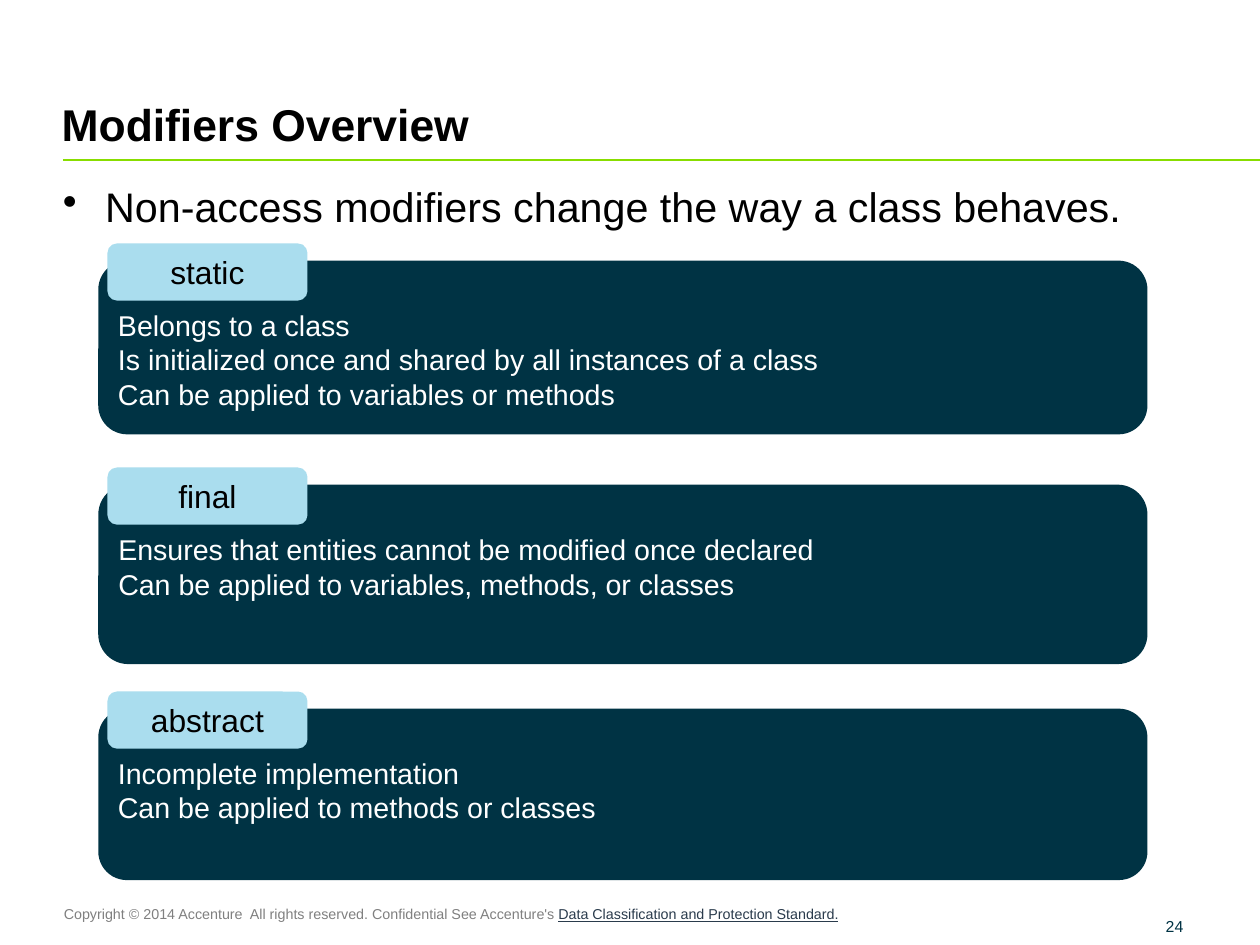
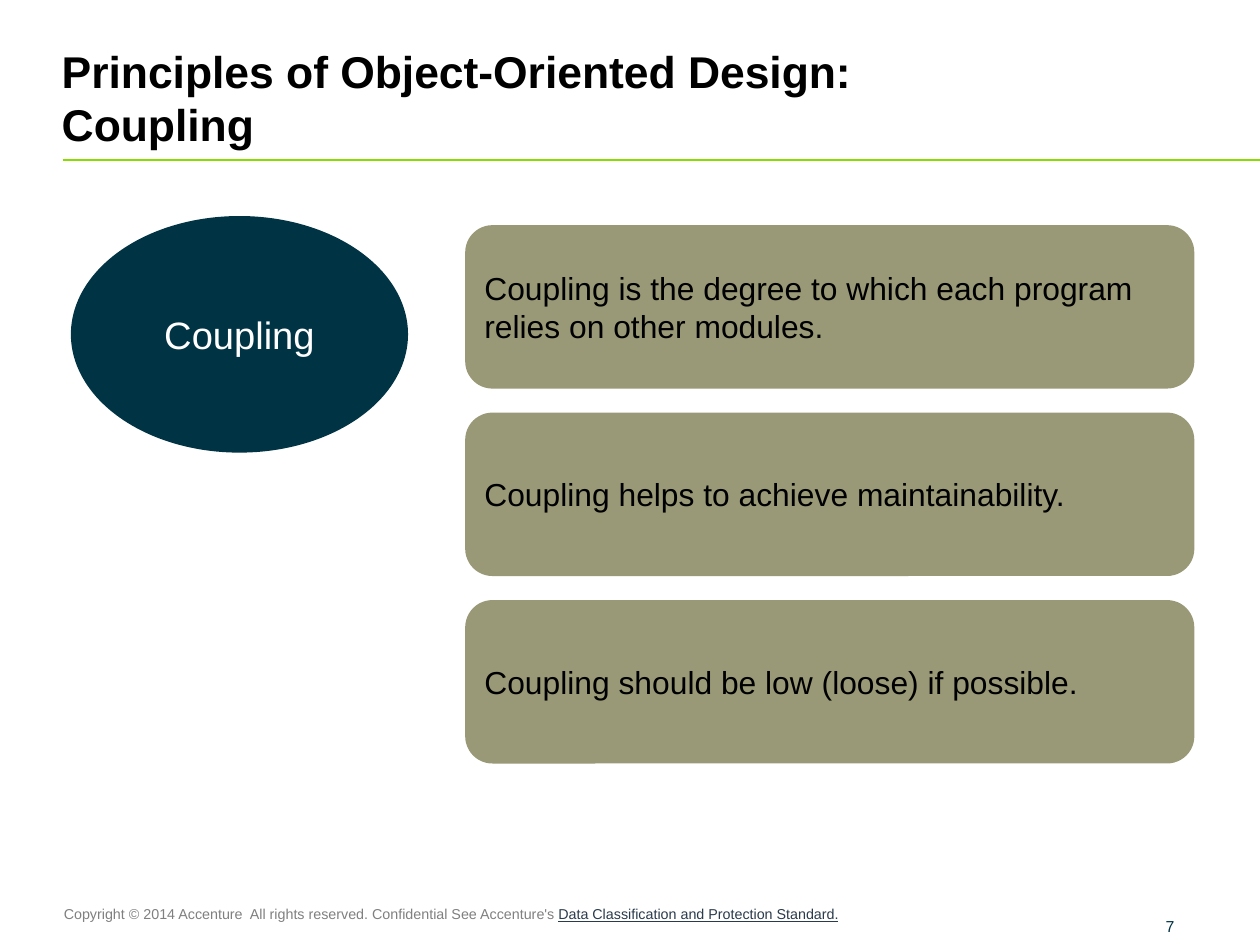
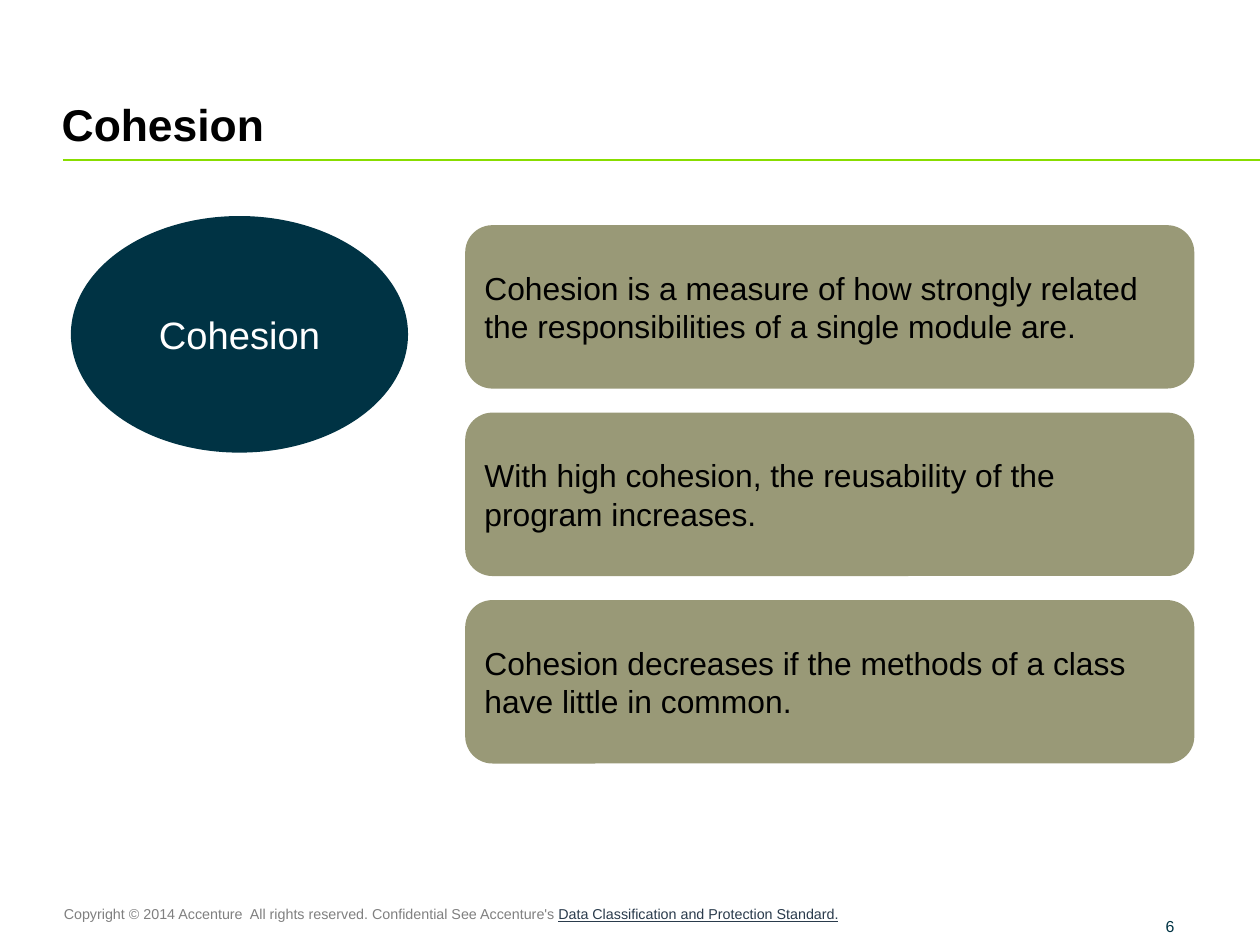
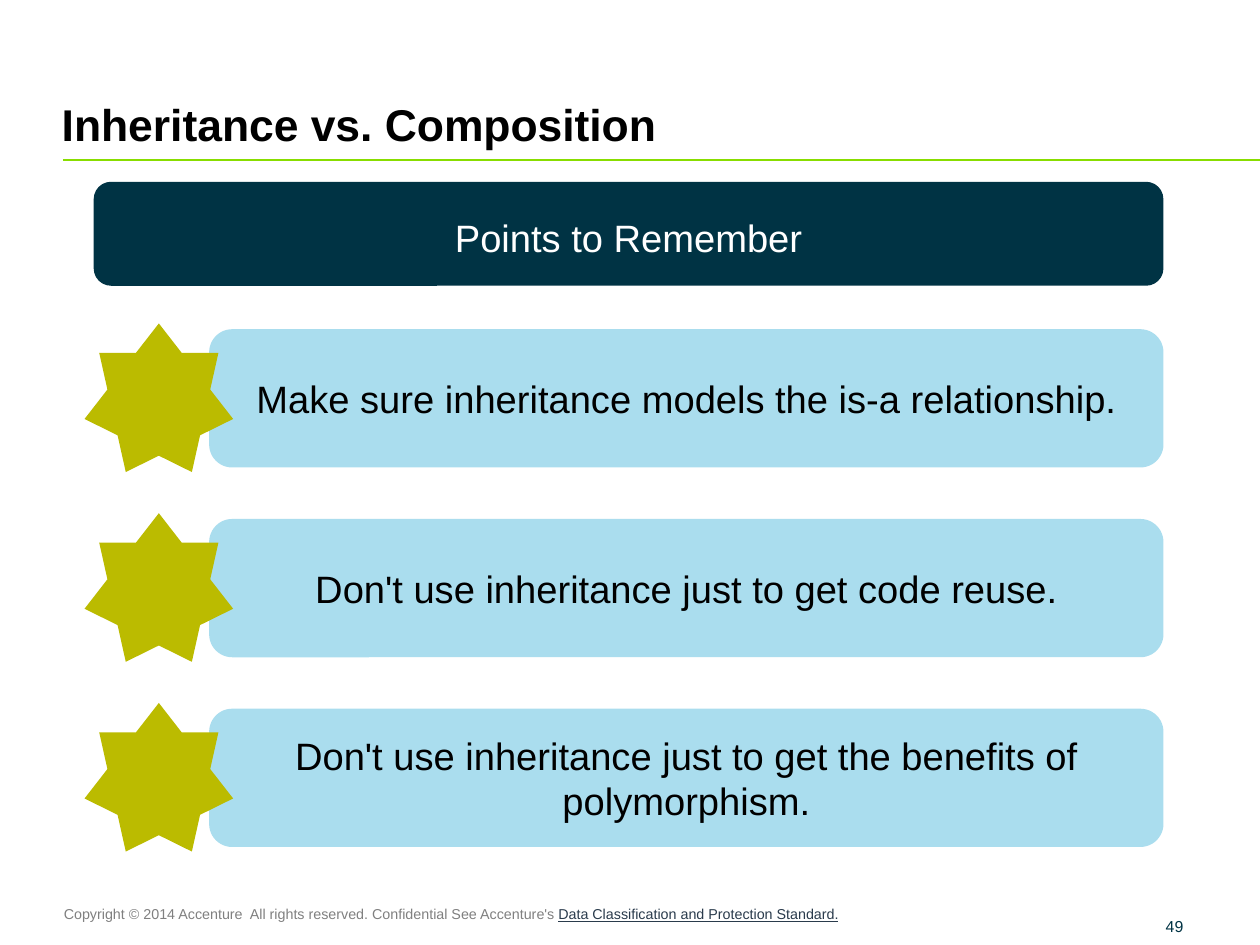
from lxml import etree
from pptx import Presentation
from pptx.dml.color import RGBColor
from pptx.enum.shapes import MSO_CONNECTOR, MSO_SHAPE
from pptx.enum.text import MSO_ANCHOR, MSO_AUTO_SIZE, PP_ALIGN
from pptx.oxml.ns import qn
from pptx.util import Emu, Inches, Pt

BLACK = RGBColor(0x00, 0x00, 0x00)
WHITE = RGBColor(0xFF, 0xFF, 0xFF)
NAVY = RGBColor(0x00, 0x33, 0x44)
SKY = RGBColor(0xAA, 0xDD, 0xEE)
OLIVE = RGBColor(0x99, 0x99, 0x77)
GOLD = RGBColor(0xBB, 0xBB, 0x00)
LIME = RGBColor(0x88, 0xDD, 0x00)
GRAY = RGBColor(0x80, 0x80, 0x80)
SLATE = RGBColor(0x2A, 0x3B, 0x4C)

ROUND = MSO_SHAPE.ROUNDED_RECTANGLE
OVAL = MSO_SHAPE.OVAL
STAR = MSO_SHAPE.STAR_7_POINT
LINE = MSO_CONNECTOR.STRAIGHT
LEFT, CENTER = PP_ALIGN.LEFT, PP_ALIGN.CENTER
TOP, MIDDLE, BOTTOM = MSO_ANCHOR.TOP, MSO_ANCHOR.MIDDLE, MSO_ANCHOR.BOTTOM
FIXED = MSO_AUTO_SIZE.NONE

FONT = "Arial"
WIDTH, HEIGHT = Emu(10080625), Emu(7559675)
INSETS = (0.1, 0.05, 0.1, 0.05)

MODIFIERS = [
    ("static", 1.52, "Belongs to a class\n"
     "Is initialized once and shared by all instances of a class\n"
     "Can be applied to variables or methods"),
    ("final", 1.57, "Ensures that entities cannot be modified once declared\n"
     "Can be applied to variables, methods, or classes"),
    ("abstract", 1.5, "Incomplete implementation\n"
     "Can be applied to methods or classes"),
]
COUPLING = [
    "Coupling is the degree to which each program relies on other modules.",
    "Coupling helps to achieve maintainability.",
    "Coupling should be low (loose) if possible.",
]
COHESION = [
    "Cohesion is a measure of how strongly related the responsibilities of a single module are.",
    "With high cohesion, the reusability of the program increases.",
    "Cohesion decreases if the methods of a class have little in common.",
]
POINTS = [
    "Make sure inheritance models the is-a relationship.",
    "Don't use inheritance just to get code reuse.",
    "Don't use inheritance just to get the benefits of polymorphism.",
]


def style(font, size, color, bold=False):
    """Set the face, size, colour and weight of a font."""
    font.name = FONT
    font.size = Pt(size)
    font.color.rgb = color
    font.bold = bold


def mark(para):
    """Give a paragraph a hanging bullet."""
    props = para._p.get_or_add_pPr()
    props.set("marL", str(Inches(0.38)))
    props.set("indent", str(Inches(-0.37)))
    etree.SubElement(props, qn("a:buChar")).set("char", "•")


def write(shape, text, size, color, align=LEFT, anchor=MIDDLE, insets=INSETS,
          bold=False, bullet=False):
    """Fill a shape with text in one style."""
    frame = shape.text_frame
    frame.word_wrap = True
    frame.auto_size = FIXED
    frame.vertical_anchor = anchor
    (frame.margin_left, frame.margin_top,
     frame.margin_right, frame.margin_bottom) = map(Inches, insets)
    frame.text = text
    for para in frame.paragraphs:
        para.alignment = align
        if bullet:
            mark(para)
        style(para.font, size, color, bold)


def add_box(slide, kind, box, fill):
    """Add a plain filled shape without outline or shadow."""
    shape = slide.shapes.add_shape(kind, *map(Inches, box))
    shape.shadow.inherit = False
    shape.fill.solid()
    shape.fill.fore_color.rgb = fill
    shape.line.fill.background()
    return shape


def add_text(slide, box, text, size, color, **look):
    """Add a text box in one style."""
    shape = slide.shapes.add_textbox(*map(Inches, box))
    write(shape, text, size, color, **look)
    return shape


def add_rule(slide):
    """Add the green rule under the title."""
    rule = slide.shapes.add_connector(
        LINE, Inches(0.55), Inches(1.4), WIDTH, Inches(1.4))
    rule.line.color.rgb = LIME
    rule.line.width = Pt(1)
    etree.SubElement(rule.element.spPr, qn("a:effectLst"))
    return rule


def add_footer(slide):
    """Add the copyright line."""
    foot = add_text(
        slide, (0.46, 7.87, 10.06, 0.25),
        "Copyright © 2014 Accenture  All rights reserved. Confidential See Accenture's ",
        9, GRAY, anchor=TOP)
    run = foot.text_frame.paragraphs[0].add_run()
    run.text = "Data Classification and Protection Standard."
    run.font.color.rgb = SLATE
    run.font.underline = True
    return foot


def share_frame(slide):
    """Put the rule and the copyright line on the layout of a slide."""
    layout = slide.slide_layout
    for holder in list(layout.placeholders):
        if holder.placeholder_format.idx:
            layout.shapes.element.remove(holder.element)
    for part in (add_rule(slide), add_footer(slide)):
        layout.shapes.element.append(part.element)


def add_slide(deck, title, number):
    """Add a slide with its title and page number."""
    slide = deck.slides.add_slide(deck.slide_layouts[5])
    head = slide.shapes.title
    head.left, head.top, head.width, head.height = map(Inches, (0.54, 0.37, 10.48, 0.95))
    write(head, title, 28, BLACK, anchor=BOTTOM, insets=(0, 0.05, 0.1, 0), bold=True)
    add_text(slide, (10.2, 7.88, 0.77, 0.31), number, 10, NAVY,
             anchor=BOTTOM, insets=(0, 0, 0, 0))
    return slide


def add_cards(slide):
    """Add a labelled card for each modifier."""
    for i, (name, height, text) in enumerate(MODIFIERS):
        top = 2.28 + 1.96 * i
        card = add_box(slide, ROUND, (0.86, top, 9.18, height), NAVY)
        write(card, text, 18, WHITE, anchor=TOP, insets=(0.1, 0.34, 0.1, 0.05))
        label = add_box(slide, ROUND, (0.94, top - 0.15, 1.75, 0.5), SKY)
        write(label, name, 20, BLACK, CENTER)


def add_topic(slide, name, facts):
    """Add an oval topic beside a column of facts."""
    for i, fact in enumerate(facts):
        card = add_box(slide, ROUND, (4.07, 1.97 + 1.64 * i, 6.38, 1.43), OLIVE)
        write(card, fact, 20, BLACK)
    oval = add_box(slide, OVAL, (0.62, 1.89, 2.95, 2.07), NAVY)
    write(oval, name, 24, WHITE, CENTER)


def add_points(slide):
    """Add a banner over a column of starred points."""
    banner = add_box(slide, ROUND, (0.82, 1.59, 9.36, 0.91), NAVY)
    write(banner, "Points to Remember", 24, WHITE, CENTER, BOTTOM, (0.1, 0.05, 0.1, 0.18))
    for i, point in enumerate(POINTS):
        top = 2.88 + 1.66 * i
        card = add_box(slide, ROUND, (1.83, top, 8.35, 1.21), SKY)
        write(card, point, 24, BLACK, CENTER)
        add_box(slide, STAR, (0.74, top - 0.05, 1.3, 1.3), GOLD)


def main():
    """Build and save the deck."""
    deck = Presentation()
    deck.slide_width, deck.slide_height = WIDTH, HEIGHT

    slide = add_slide(deck, "Modifiers Overview", "24")
    share_frame(slide)
    add_text(slide, (0.54, 1.54, 9.93, 0.6),
             "Non-access modifiers change the way a class behaves.", 26, BLACK,
             anchor=TOP, insets=(0, 0.05, 0.1, 0.05), bullet=True)
    add_cards(slide)

    slide = add_slide(deck, "Principles of Object-Oriented Design:\vCoupling", "7")
    add_topic(slide, "Coupling", COUPLING)

    slide = add_slide(deck, "Cohesion", "6")
    add_topic(slide, "Cohesion", COHESION)

    slide = add_slide(deck, "Inheritance vs. Composition", "49")
    add_points(slide)

    deck.save("out.pptx")


if __name__ == "__main__":
    main()
